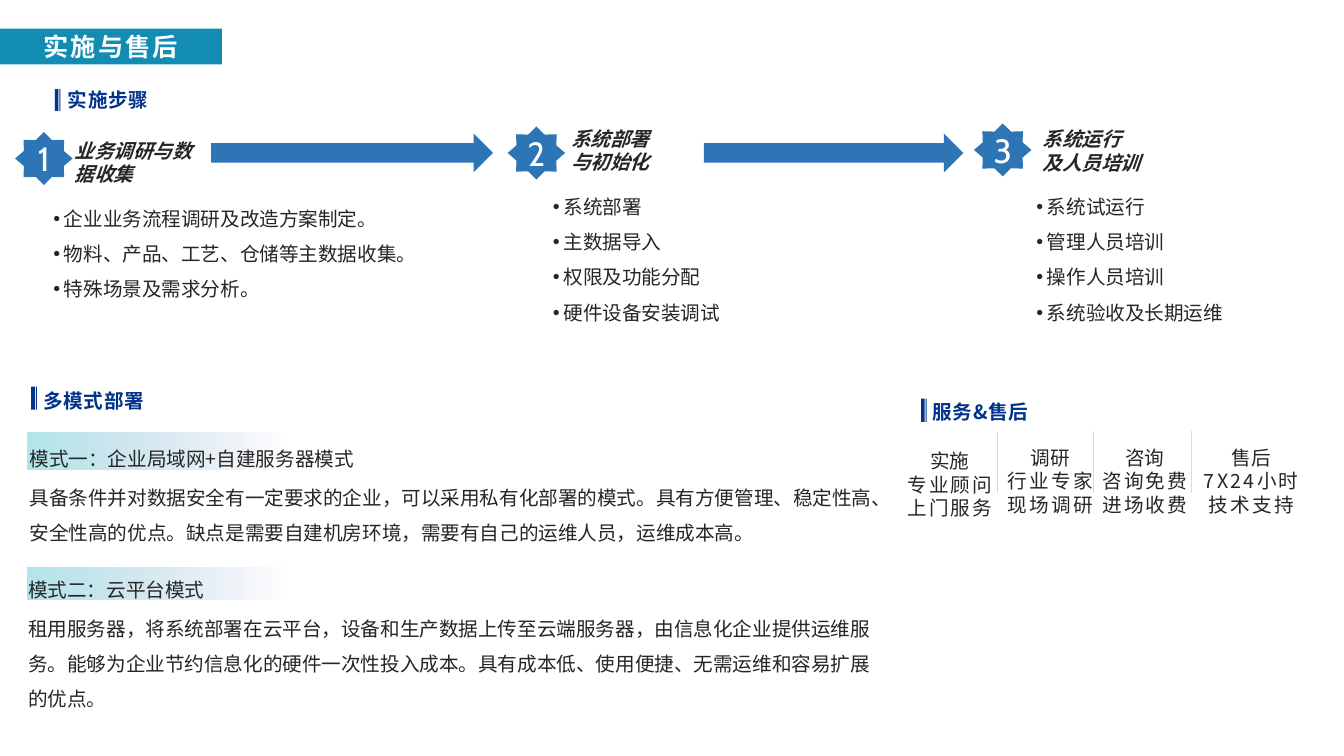
from lxml.etree import SubElement
from pptx import Presentation
from pptx.dml.color import RGBColor
from pptx.enum.shapes import MSO_CONNECTOR, MSO_SHAPE
from pptx.enum.text import MSO_ANCHOR, MSO_AUTO_SIZE, PP_ALIGN
from pptx.oxml.ns import qn
from pptx.util import Inches, Pt

COLORS = {"teal": "128CB3", "navy": "02328B", "text": "262626", "white": "FFFFFF",
          "blue": "2E75B6", "rule": "D9D9D9", "fade_from": "01ACBE", "fade_to": "00388F"}
FONT = "Noto Sans CJK SC"


def write(frame, lines, size=28, color="text", font=FONT, bold=False, italic=False,
          align=PP_ALIGN.LEFT, line_spacing=1.0, space_after=0, tracking=0, bullet=False):
    """Append formatted lines to a text frame, one paragraph each."""
    frame.word_wrap = True
    for line in lines:
        first = frame.paragraphs[0]
        paragraph = frame.add_paragraph() if first.runs else first
        if bullet:
            properties = paragraph._p.get_or_add_pPr()
            properties.set("marL", str(Inches(0.21)))
            properties.set("indent", str(-Inches(0.21)))
            SubElement(properties, qn("a:buFont"), typeface="Arial")
            SubElement(properties, qn("a:buChar"), char="•")
        paragraph.alignment = align
        paragraph.line_spacing = line_spacing
        paragraph.space_after = Pt(space_after)
        run = paragraph.add_run()
        run.text = line
        run.font.size = Pt(size)
        run.font.bold = bold
        run.font.italic = italic
        run.font.color.rgb = RGBColor.from_string(COLORS[color])
        run.font.name = font
        properties = run._r.get_or_add_rPr()
        SubElement(properties, qn("a:ea"), typeface=font)
        if tracking:
            properties.set("spc", str(round(tracking * 100)))


def add_block(kind, left, top, width, height, color):
    block = slide.shapes.add_shape(kind, Inches(left), Inches(top), Inches(width), Inches(height))
    block.shadow.inherit = False
    block.line.fill.background()
    block.fill.solid()
    block.fill.fore_color.rgb = RGBColor.from_string(COLORS[color])
    return block


presentation = Presentation()
presentation.slide_width = Inches(26.66)
presentation.slide_height = Inches(15)
slide = presentation.slides.add_slide(presentation.slide_layouts[5])

# Title band
title = slide.shapes.title
title.left, title.top, title.width, title.height = map(Inches, (0, 0.57, 4.4, 0.71))
title.fill.solid()
title.fill.fore_color.rgb = RGBColor.from_string(COLORS["teal"])
title.text_frame.auto_size = MSO_AUTO_SIZE.NONE
title.text_frame.vertical_anchor = MSO_ANCHOR.TOP
write(title.text_frame, ["实施与售后"], size=36, color="white", bold=True,
      align=PP_ALIGN.CENTER, tracking=3)

# Section headings, each with a thick and a thin bar
headings = [("实施步骤", 1.25, 1.7, 1.09, 1.77, 0.43),
            ("多模式部署", 0.76, 7.66, 0.62, 7.67, 0.46),
            ("服务&售后", 18.4, 7.89, 18.27, 7.91, 0.46)]
for heading, left, top, bar_left, bar_top, bar_height in headings:
    add_block(MSO_SHAPE.RECTANGLE, bar_left, bar_top, 0.07, bar_height, "navy")
    add_block(MSO_SHAPE.RECTANGLE, bar_left + 0.09, bar_top, 0.02, bar_height, "navy")
    label = slide.shapes.add_textbox(Inches(left), Inches(top), Inches(5.67), Inches(0.57))
    write(label.text_frame, [heading], color="navy", bold=True, tracking=1)

# Implementation steps: numbered star, name, tasks
steps = [
    ((0.3, 2.62), ["业务调研与数据收集"], (1.38, 2.7, 2.89), (0.96, 3.82, 7.54),
     ["企业业务流程调研及改造方案制定。", "物料、产品、工艺、仓储等主数据收集。", "特殊场景及需求分析。"]),
    ((10.07, 2.51), ["系统部署", "与初始化"], (11.23, 2.46, 2.41), (10.87, 3.58, 4.1),
     ["系统部署", "主数据导入", "权限及功能分配", "硬件设备安装调试"]),
    ((19.32, 2.45), ["系统运行", "及人员培训"], (20.58, 2.47, 2.57), (20.46, 3.58, 4.44),
     ["系统试运行", "管理人员培训", "操作人员培训", "系统验收及长期运维"]),
]
for number, (star_at, name, name_at, tasks_at, tasks) in enumerate(steps, 1):
    star = add_block(MSO_SHAPE.STAR_8_POINT, *star_at, 1.14, 1.05, "blue")
    star.text_frame.vertical_anchor = MSO_ANCHOR.MIDDLE
    write(star.text_frame, [str(number)], size=48, color="white", font="Cabin",
          align=PP_ALIGN.CENTER)
    step_name = slide.shapes.add_textbox(*map(Inches, name_at), Inches(1.04))
    write(step_name.text_frame, name, bold=True, italic=True)
    task_list = slide.shapes.add_textbox(*map(Inches, tasks_at), Inches(0.1 + 0.7 * len(tasks)))
    write(task_list.text_frame, tasks, line_spacing=1.5, bullet=True)

# Arrows between the steps
for left, width in [(4.19, 5.59), (13.96, 5.15)]:
    add_block(MSO_SHAPE.RIGHT_ARROW, left, 2.65, width, 0.77, "blue")

# Deployment modes on fading bands
modes = [
    (8.59, 0.72, (0.49, 8.59, 17.19, 2.28), "模式一：企业局域网+自建服务器模式",
     "具备条件并对数据安全有一定要求的企业，可以采用私有化部署的模式。具有方便管理、稳定性高、"
     "安全性高的优点。缺点是需要自建机房环境，需要有自己的运维人员，运维成本高。"),
    (11.27, 0.63, (0.46, 11.19, 17.28, 2.98), "模式二：云平台模式",
     "租用服务器，将系统部署在云平台，设备和生产数据上传至云端服务器，由信息化企业提供运维服务。"
     "能够为企业节约信息化的硬件一次性投入成本。具有成本低、使用便捷、无需运维和容易扩展的优点。"),
]
for band_top, band_height, mode_at, mode_name, description in modes:
    band = add_block(MSO_SHAPE.RECTANGLE, 0.55, band_top, 5.24, band_height, "fade_from")
    band.fill.gradient()
    band.fill.gradient_angle = 0
    for stop, color in zip(band.fill.gradient_stops, ("fade_from", "fade_to")):
        stop.color.rgb = RGBColor.from_string(COLORS[color])
    for stop_color, opacity in zip(band._element.xpath(".//a:gs/a:srgbClr"), (31, 0)):
        SubElement(stop_color, qn("a:alpha"), val=str(opacity * 1000))
    mode = slide.shapes.add_textbox(*map(Inches, mode_at))
    write(mode.text_frame, [mode_name], line_spacing=1.5, space_after=4.5)
    write(mode.text_frame, [description], line_spacing=1.5)

# Service columns
services = [(17.74, 8.63, 2.2, "实施", ["专业顾问", "上门服务"]),
            (19.79, 8.56, 2.08, "调研", ["行业专家", "现场调研"]),
            (21.68, 8.56, 2.06, "咨询", ["咨询免费", "进场收费"]),
            (23.72, 8.56, 2.2, "售后", ["7X24小时", "技术支持"])]
for left, top, width, service, details in services:
    column = slide.shapes.add_textbox(Inches(left), Inches(top), Inches(width), Inches(1.75))
    write(column.text_frame, [service], align=PP_ALIGN.CENTER, line_spacing=1.5)
    write(column.text_frame, details, align=PP_ALIGN.CENTER, tracking=3.3)

# Rules between the service columns
for x in (19.79, 21.68, 23.64):
    rule = slide.shapes.add_connector(MSO_CONNECTOR.STRAIGHT, Inches(x), Inches(8.56),
                                      Inches(x), Inches(9.79))
    rule.line.color.rgb = RGBColor.from_string(COLORS["rule"])
    rule.line.width = Pt(0.75)
    SubElement(rule._element.spPr, qn("a:effectLst"))

presentation.save("out.pptx")
